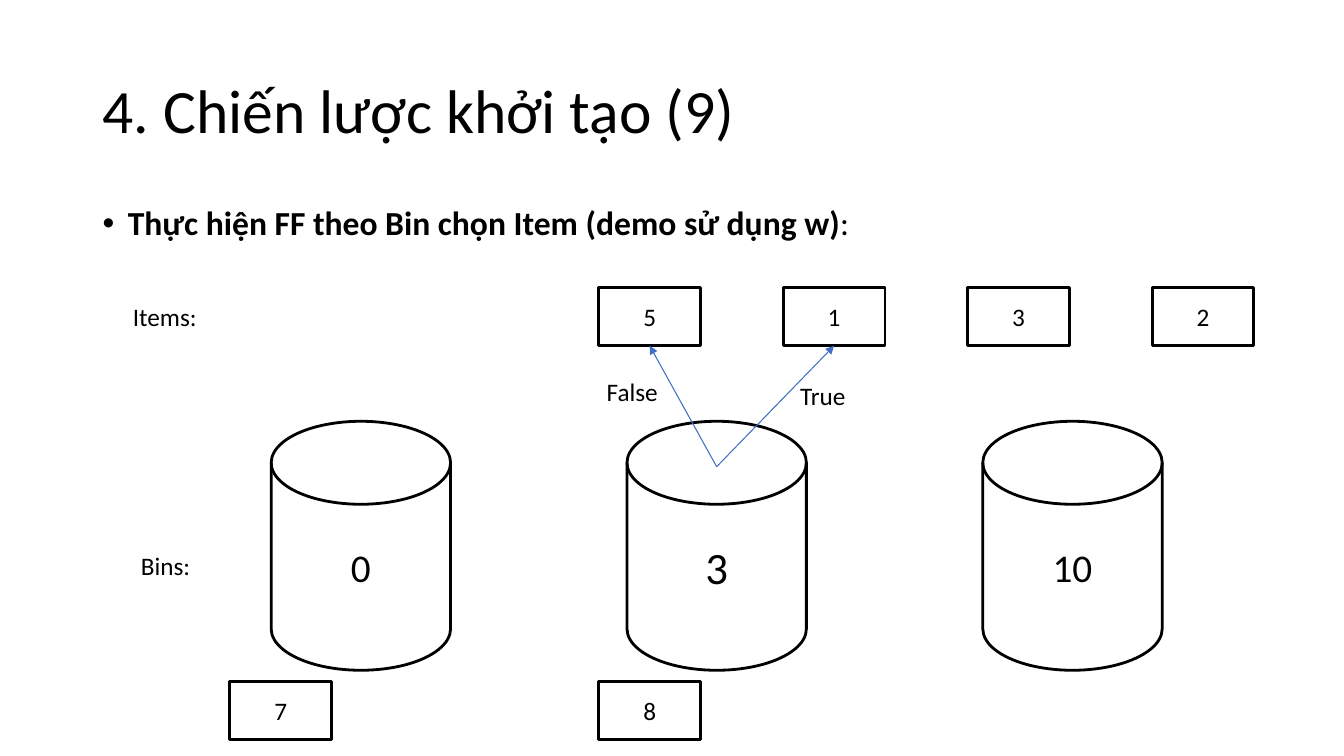
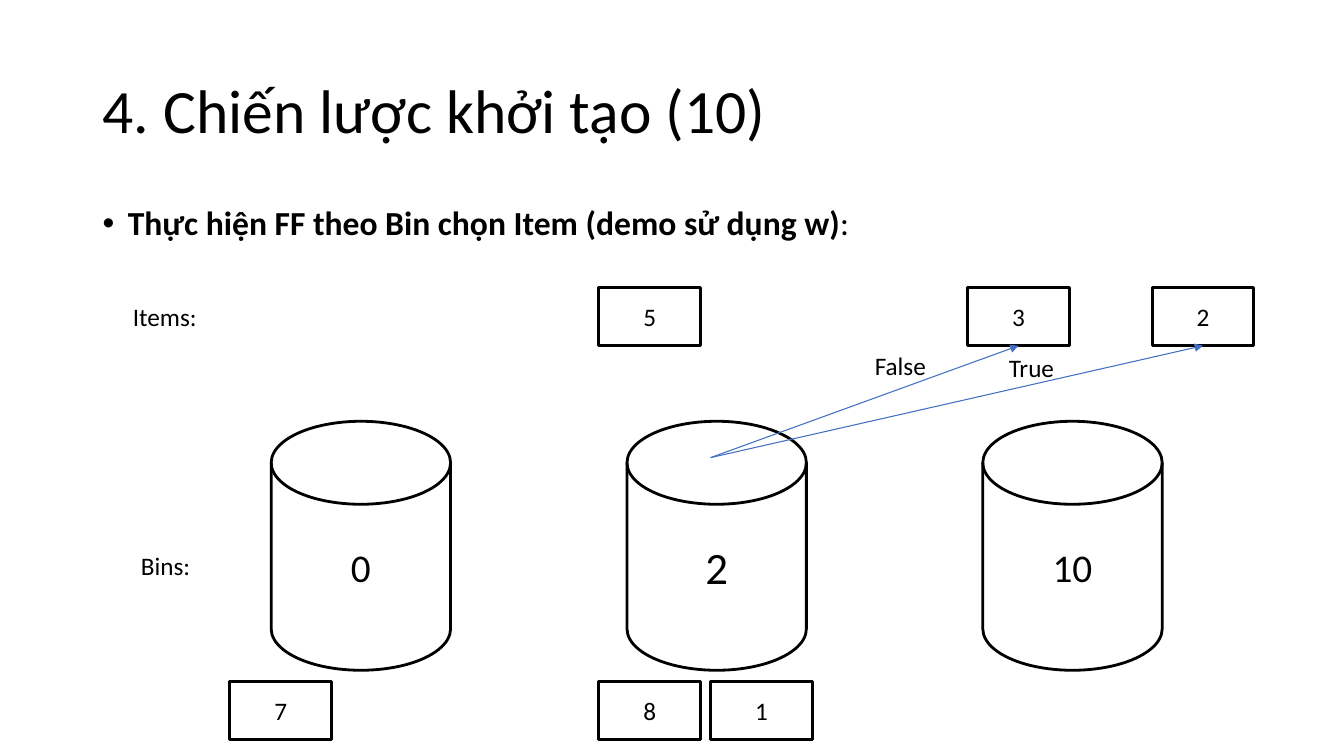
from dataclasses import dataclass
from typing import Any

from lxml.etree import SubElement
from pptx import Presentation
from pptx.dml.color import RGBColor
from pptx.enum.shapes import MSO_CONNECTOR, MSO_SHAPE
from pptx.enum.text import MSO_ANCHOR, PP_ALIGN
from pptx.oxml.ns import qn
from pptx.shapes.autoshape import Shape
from pptx.slide import Slide
from pptx.text.text import TextFrame, _Paragraph
from pptx.util import Pt

BLACK = "000000"
WHITE = "FFFFFF"
ARROW_BLUE = "3F6EC2"
FONT_NAME = "Calibri"
TITLE = "4. Chiến lược khởi tạo ({})"
HEADING = "Thực hiện FF theo Bin chọn Item (demo sử dụng w)"

ITEM_LEFT, ITEM_STEP, PACKED_STEP = 164.16, 131.76, 79.92
ITEM_WIDTH, ITEM_HEIGHT = 72.72, 41.76
WAITING_TOP, PACKED_TOP = 205.2, 486.72
BIN_LEFT, BIN_STEP, BIN_TOP = 193.68, 254.16, 300.96
BIN_WIDTH, BIN_HEIGHT = 128.16, 177.84
BOTTOM_SITE = 2


@dataclass(frozen=True)
class Box:
    left: float
    top: float
    width: float
    height: float

    def lengths(self) -> tuple[Pt, Pt, Pt, Pt]:
        return Pt(self.left), Pt(self.top), Pt(self.width), Pt(self.height)


@dataclass(frozen=True)
class Label:
    text: str
    box: Box
    wrap: bool = False


@dataclass(frozen=True)
class Item:
    text: str
    column: int


@dataclass(frozen=True)
class Bin:
    text: str
    size: int
    packed: tuple[str, ...] = ()


@dataclass(frozen=True)
class Step:
    number: int
    waiting: tuple[Item, ...]
    bins: tuple[Bin, ...]
    arrow_start: tuple[float, float]
    arrow_targets: tuple[str, ...]
    answers: tuple[Label, ...]


TITLE_BOX = Box(66.24, 28.8, 828, 104.4)
HEADING_BOX = Box(66.24, 144, 828, 342.72)
ROW_LABELS = (
    Label("Items:", Box(87.84, 211.68, 70.56, 28.8)),
    Label("Bins:", Box(93.6, 389.52, 58.32, 28.8)),
)
FIRST_BIN = Bin("0", 28, ("7",))
LAST_BIN = Bin("10", 28)

STEPS = (
    Step(
        9,
        (Item("5", 2), Item("1", 3), Item("3", 4), Item("2", 5)),
        (FIRST_BIN, Bin("3", 32, ("8",)), LAST_BIN),
        (511.92, 333.36),
        ("5", "1"),
        (
            Label("False", Box(426.24, 264.96, 65.52, 28.8), True),
            Label("True", Box(564.48, 267.84, 65.52, 28.8), True),
        ),
    ),
    Step(
        10,
        (Item("5", 2), Item("3", 4), Item("2", 5)),
        (FIRST_BIN, Bin("2", 32, ("8", "1")), LAST_BIN),
        (507.6, 326.88),
        ("3", "2"),
        (
            Label("False", Box(617.76, 246.96, 56.16, 50.4), True),
            Label("True", Box(713.52, 248.4, 52.56, 28.8)),
        ),
    ),
)


def color(value: str) -> RGBColor:
    return RGBColor.from_string(value)


def apply_format(target: Any, values: dict[str, Any]) -> None:
    for name, value in values.items():
        setattr(target, name, value)


def add_run(paragraph: _Paragraph, text: str, size: int, bold: bool = False) -> None:
    run = paragraph.add_run()
    run.text = text
    apply_format(run.font, {"name": FONT_NAME, "size": Pt(size), "bold": bold})
    run.font.color.rgb = color(BLACK)


def add_text_box(
    slide: Slide, box: Box, wrap: bool = True, anchor: MSO_ANCHOR = MSO_ANCHOR.TOP
) -> TextFrame:
    frame = slide.shapes.add_textbox(*box.lengths()).text_frame
    apply_format(frame, {"word_wrap": wrap, "vertical_anchor": anchor})
    return frame


def add_label(slide: Slide, label: Label) -> None:
    frame = add_text_box(slide, label.box, label.wrap)
    add_run(frame.paragraphs[0], label.text, 18)


def add_title(slide: Slide, number: int) -> None:
    frame = add_text_box(slide, TITLE_BOX, anchor=MSO_ANCHOR.MIDDLE)
    paragraph = frame.paragraphs[0]
    paragraph.line_spacing = 0.9
    add_run(paragraph, TITLE.format(number), 44)


def add_heading(slide: Slide) -> None:
    paragraph = add_text_box(slide, HEADING_BOX).paragraphs[0]
    apply_format(paragraph, {"line_spacing": 0.9, "space_before": Pt(10)})
    properties = paragraph._p.get_or_add_pPr()
    properties.set("marL", str(Pt(18)))
    properties.set("indent", str(-Pt(18)))
    bullet_color = SubElement(properties, qn("a:buClr"))
    SubElement(bullet_color, qn("a:srgbClr"), val=BLACK)
    SubElement(properties, qn("a:buFont"), typeface="Arial")
    SubElement(properties, qn("a:buChar"), char="•")
    add_run(paragraph, HEADING, 24, bold=True)
    add_run(paragraph, ":", 24)


def add_outlined(slide: Slide, kind: MSO_SHAPE, box: Box, text: str, size: int) -> Shape:
    shape = slide.shapes.add_shape(kind, *box.lengths())
    shape.shadow.inherit = False
    shape.fill.solid()
    shape.fill.fore_color.rgb = color(WHITE)
    shape.line.color.rgb = color(BLACK)
    shape.line.width = Pt(2)
    shape.text_frame.vertical_anchor = MSO_ANCHOR.MIDDLE
    paragraph = shape.text_frame.paragraphs[0]
    paragraph.alignment = PP_ALIGN.CENTER
    add_run(paragraph, text, size)
    return shape


def add_item(slide: Slide, left: float, top: float, text: str) -> Shape:
    box = Box(left, top, ITEM_WIDTH, ITEM_HEIGHT)
    return add_outlined(slide, MSO_SHAPE.RECTANGLE, box, text, 18)


def add_bin(slide: Slide, index: int, bin_: Bin) -> None:
    box = Box(BIN_LEFT + index * BIN_STEP, BIN_TOP, BIN_WIDTH, BIN_HEIGHT)
    add_outlined(slide, MSO_SHAPE.FLOWCHART_MAGNETIC_DISK, box, bin_.text, bin_.size)
    packed_left = ITEM_LEFT + index * 2 * ITEM_STEP
    for position, text in enumerate(bin_.packed):
        add_item(slide, packed_left + position * PACKED_STEP, PACKED_TOP, text)


def add_arrow(slide: Slide, start: tuple[float, float], target: Shape) -> None:
    left, top = (Pt(value) for value in start)
    connector = slide.shapes.add_connector(MSO_CONNECTOR.STRAIGHT, left, top, left, top)
    connector.end_connect(target, BOTTOM_SITE)
    connector.line.color.rgb = color(ARROW_BLUE)
    connector.line.width = Pt(0.75)
    SubElement(connector.line._get_or_add_ln(), qn("a:tailEnd"), type="triangle")
    SubElement(connector._element.spPr, qn("a:effectLst"))


def add_step(slide: Slide, step: Step) -> None:
    add_title(slide, step.number)
    add_heading(slide)
    waiting = {
        item.text: add_item(
            slide, ITEM_LEFT + item.column * ITEM_STEP, WAITING_TOP, item.text
        )
        for item in step.waiting
    }
    for index, bin_ in enumerate(step.bins):
        add_bin(slide, index, bin_)
    for target in step.arrow_targets:
        add_arrow(slide, step.arrow_start, waiting[target])
    for label in ROW_LABELS + step.answers:
        add_label(slide, label)


def main() -> None:
    presentation = Presentation()
    apply_format(presentation, {"slide_width": Pt(960), "slide_height": Pt(540)})
    blank_layout = presentation.slide_layouts[6]
    for step in STEPS:
        add_step(presentation.slides.add_slide(blank_layout), step)
    presentation.save("out.pptx")


main()
